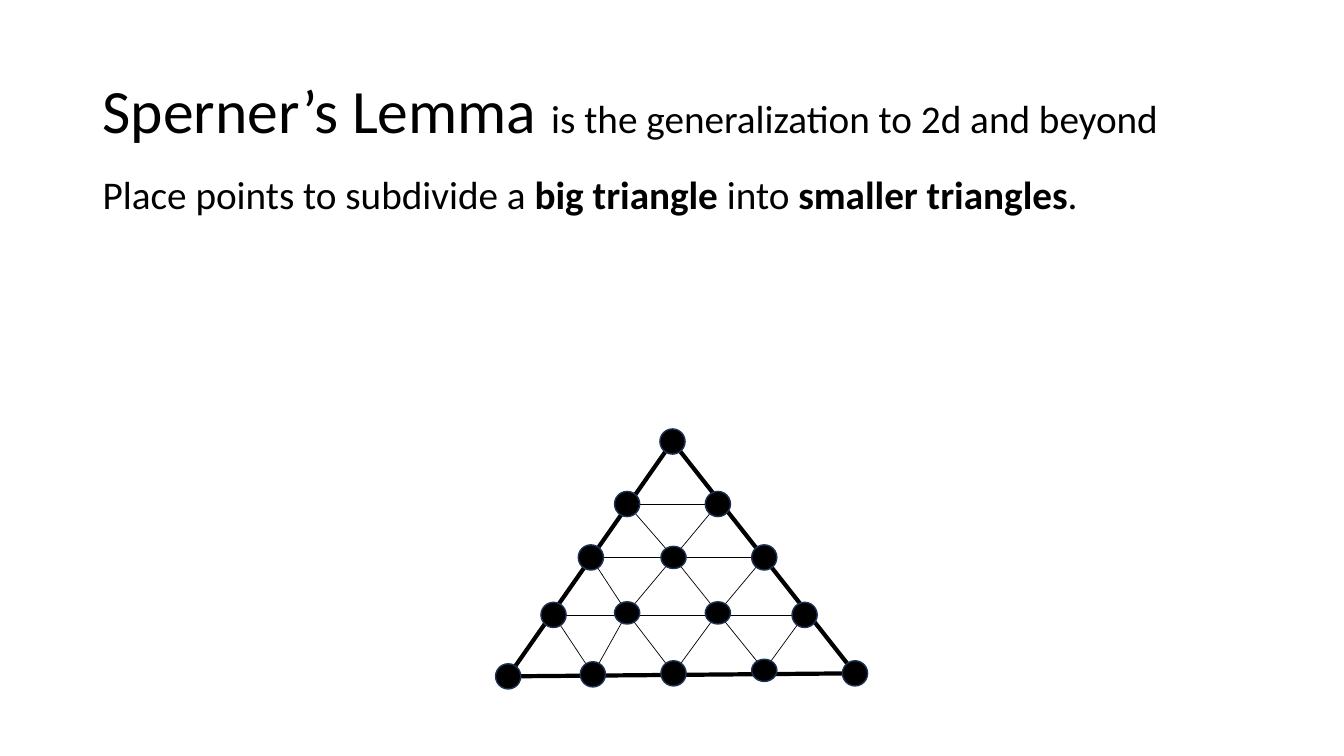
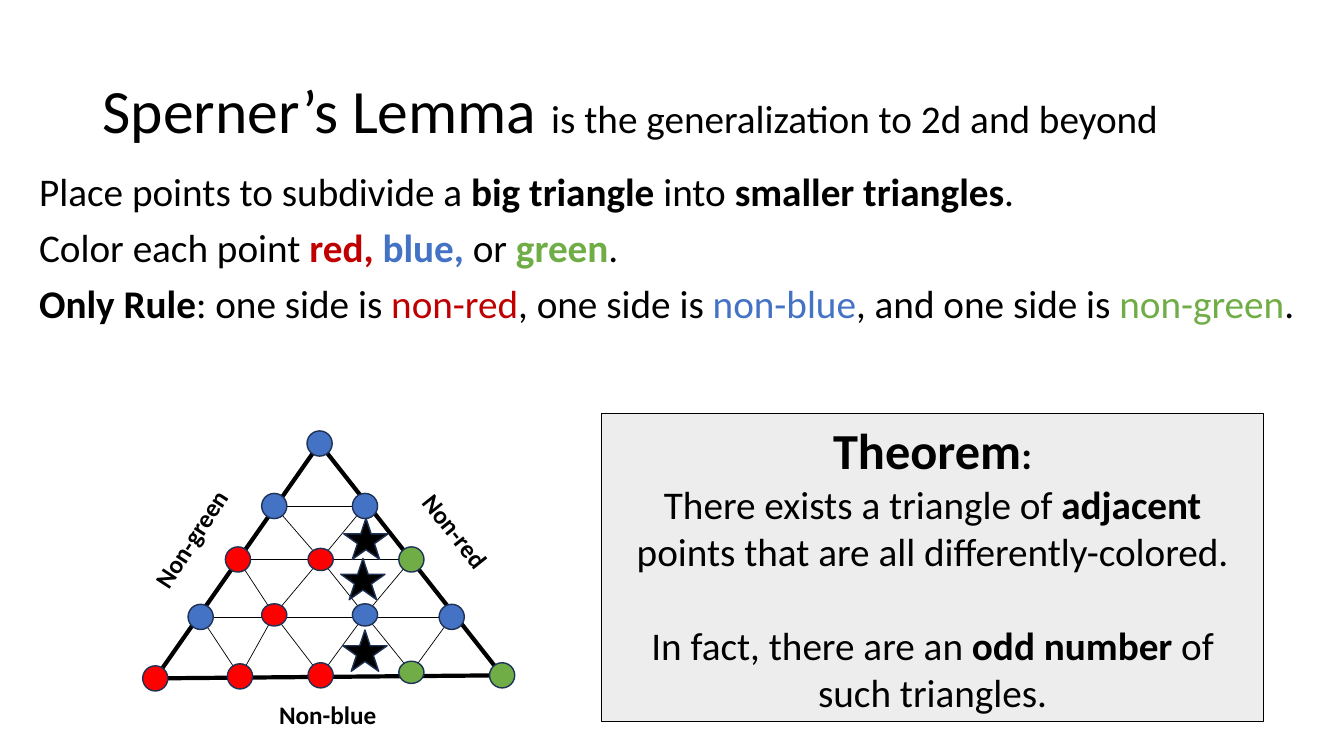
from lxml import etree
from pptx import Presentation
from pptx.dml.color import RGBColor
from pptx.enum import shapes as es, text as et
from pptx.oxml import ns
from pptx.util import Inches, Pt

BLACK = RGBColor(0x00, 0x00, 0x00)
DARK_RED = RGBColor(0xC0, 0x00, 0x00)
RED = RGBColor(0xFF, 0x00, 0x00)
BLUE = RGBColor(0x44, 0x72, 0xC4)
GREEN = RGBColor(0x70, 0xAD, 0x47)
NAVY = RGBColor(0x1E, 0x32, 0x56)
PALE_GRAY = RGBColor(0xED, 0xED, 0xED)

POINT_COLORS = {"K": BLACK, "R": RED, "B": BLUE, "G": GREEN}
MESH_ROWS = [
    [(6.67, 4.38)],
    [(6.22, 5.0), (7.12, 5.0)],
    [(5.86, 5.53), (6.68, 5.53), (7.58, 5.53)],
    [(5.49, 6.1), (6.22, 6.08), (7.12, 6.08), (7.98, 6.1)],
    [(5.04, 6.71), (5.88, 6.69), (6.68, 6.68), (7.58, 6.65), (8.48, 6.68)],
]
FLAT_POINTS = {(2, 1), (3, 1), (3, 2), (4, 3)}

SUBDIVIDE = [
    ("Place points to subdivide a ",),
    ("big triangle", True),
    (" into ",),
    ("smaller triangles", True),
    (".",),
]
COLORING = [
    ("Color each point ",),
    ("red, ", True, DARK_RED),
    ("blue, ", True, BLUE),
    ("or ",),
    ("green", True, GREEN),
    (".",),
]
ONLY_RULE = [
    ("Only Rule", True),
    (": one side is ",),
    ("non-red", False, DARK_RED),
    (", one side is ",),
    ("non-blue", False, BLUE),
    (", and one side is ",),
    ("non-green", False, GREEN),
    (".",),
]
THEOREM = [
    [("Theorem", True, BLACK, 36), (":", True)],
    [("There exists a triangle of ",), ("adjacent", True),
     (" points that are all differently-colored.",)],
    [("In fact, there are an ",), ("odd number", True), (" of such triangles.",)],
]


class Deck:
    font = "Calibri"
    body_size = 28

    def __init__(self):
        self.prs = Presentation()
        self.prs.slide_width = Inches(13.33)
        self.prs.slide_height = Inches(7.5)
        self.slide = None

    def new_slide(self):
        self.slide = self.prs.slides.add_slide(self.prs.slide_layouts[6])
        self.text_box((0.92, 0.4, 11.5, 1.45), [[
            ("Sperner’s Lemma ", False, BLACK, 44),
            ("is the generalization to 2d and beyond",),
        ]], anchor=et.MSO_ANCHOR.MIDDLE)

    def add_run(self, paragraph, wording, bold=False, color=BLACK, size=body_size):
        run = paragraph.add_run()
        run.text = wording
        run.font.name = self.font
        run.font.size = Pt(size)
        run.font.bold = bold
        run.font.color.rgb = color

    def fill_text(self, frame, paragraphs, align, spacing=1.0, before=0):
        for index, runs in enumerate(paragraphs):
            paragraph = frame.add_paragraph() if index else frame.paragraphs[0]
            paragraph.alignment = align
            paragraph.line_spacing = spacing
            paragraph.space_before = Pt(before)
            for run in runs:
                self.add_run(paragraph, *run)

    def text_box(self, box, paragraphs, anchor=et.MSO_ANCHOR.TOP, before=0):
        frame = self.slide.shapes.add_textbox(*map(Inches, box)).text_frame
        frame.word_wrap = True
        frame.vertical_anchor = anchor
        self.fill_text(frame, paragraphs, et.PP_ALIGN.LEFT, 0.9, before)

    def side_label(self, box, wording, rotation=0):
        label = self.slide.shapes.add_textbox(*map(Inches, box))
        label.rotation = rotation
        label.text_frame.word_wrap = False
        label.text_frame.auto_size = et.MSO_AUTO_SIZE.SHAPE_TO_FIT_TEXT
        self.fill_text(label.text_frame, [[(wording, True, BLACK, 18)]],
                       et.PP_ALIGN.LEFT)

    def shape(self, kind, box, fill, outline=NAVY, weight=1):
        figure = self.slide.shapes.add_shape(kind, *map(Inches, box))
        figure.shadow.inherit = False
        figure.fill.solid()
        figure.fill.fore_color.rgb = fill
        figure.line.color.rgb = outline
        figure.line.width = Pt(weight)
        return figure

    def theorem_panel(self, box, paragraphs):
        panel = self.shape(es.MSO_SHAPE.RECTANGLE, box, PALE_GRAY, BLACK, 0.75)
        frame = panel.text_frame
        frame.word_wrap = True
        frame.vertical_anchor = et.MSO_ANCHOR.MIDDLE
        self.fill_text(frame, paragraphs, et.PP_ALIGN.CENTER)
        frame.paragraphs[-1].space_before = Pt(34)

    def star(self, left, top):
        self.shape(es.MSO_SHAPE.STAR_5_POINT, (left, top, 0.44, 0.41), BLACK)

    def edge(self, start, end, weight=0.5):
        line = self.slide.shapes.add_connector(
            es.MSO_CONNECTOR.STRAIGHT, *map(Inches, (*start, *end)))
        line.line.color.rgb = BLACK
        line.line.width = Pt(weight)
        etree.SubElement(line._element.spPr, ns.qn("a:effectLst"))

    def mesh(self, color_rows, dx=0, dy=0):
        rows = [[(x + dx, y + dy) for x, y in row] for row in MESH_ROWS]
        for row in rows[1:-1]:
            self.edge(row[0], row[-1])
        for upper, lower in zip(rows, rows[1:]):
            for i, point in enumerate(upper):
                if i > 0:
                    self.edge(point, lower[i])
                if i < len(upper) - 1:
                    self.edge(point, lower[i + 1])
        apex, left, right = rows[0][0], rows[-1][0], rows[-1][-1]
        for start, end in ((apex, left), (apex, right), (left, right)):
            self.edge(start, end, 3)
        for r, (row, letters) in enumerate(zip(rows, color_rows)):
            for c, ((x, y), letter) in enumerate(zip(row, letters)):
                width, height = 0.25, 0.22 if (r, c) in FLAT_POINTS else 0.25
                self.shape(es.MSO_SHAPE.OVAL,
                           (x - width / 2, y - height / 2, width, height),
                           POINT_COLORS[letter])


def main():
    deck = Deck()

    deck.new_slide()
    deck.text_box((0.92, 1.69, 11.5, 2.37), [SUBDIVIDE], before=10)
    deck.mesh(["K" * len(row) for row in MESH_ROWS])

    deck.new_slide()
    deck.text_box((0.29, 1.66, 12.76, 2.37),
                  [SUBDIVIDE, COLORING, ONLY_RULE], before=10)
    deck.mesh(["B", "BB", "RRG", "BRBB", "RRRGG"], dx=-3.5, dy=0.02)
    deck.side_label((1.24, 5.14, 1.31, 0.4), "Non-green", 303)
    deck.side_label((3.99, 5.07, 1.06, 0.4), "Non-red", 51.4)
    deck.side_label((2.67, 6.89, 1.17, 0.4), "Non-blue")
    deck.theorem_panel((5.97, 4.1, 6.56, 3.06), THEOREM)
    for left, top in ((3.41, 5.14), (3.4, 6.25), (3.38, 5.54)):
        deck.star(left, top)

    deck.prs.save("out.pptx")


if __name__ == "__main__":
    main()
